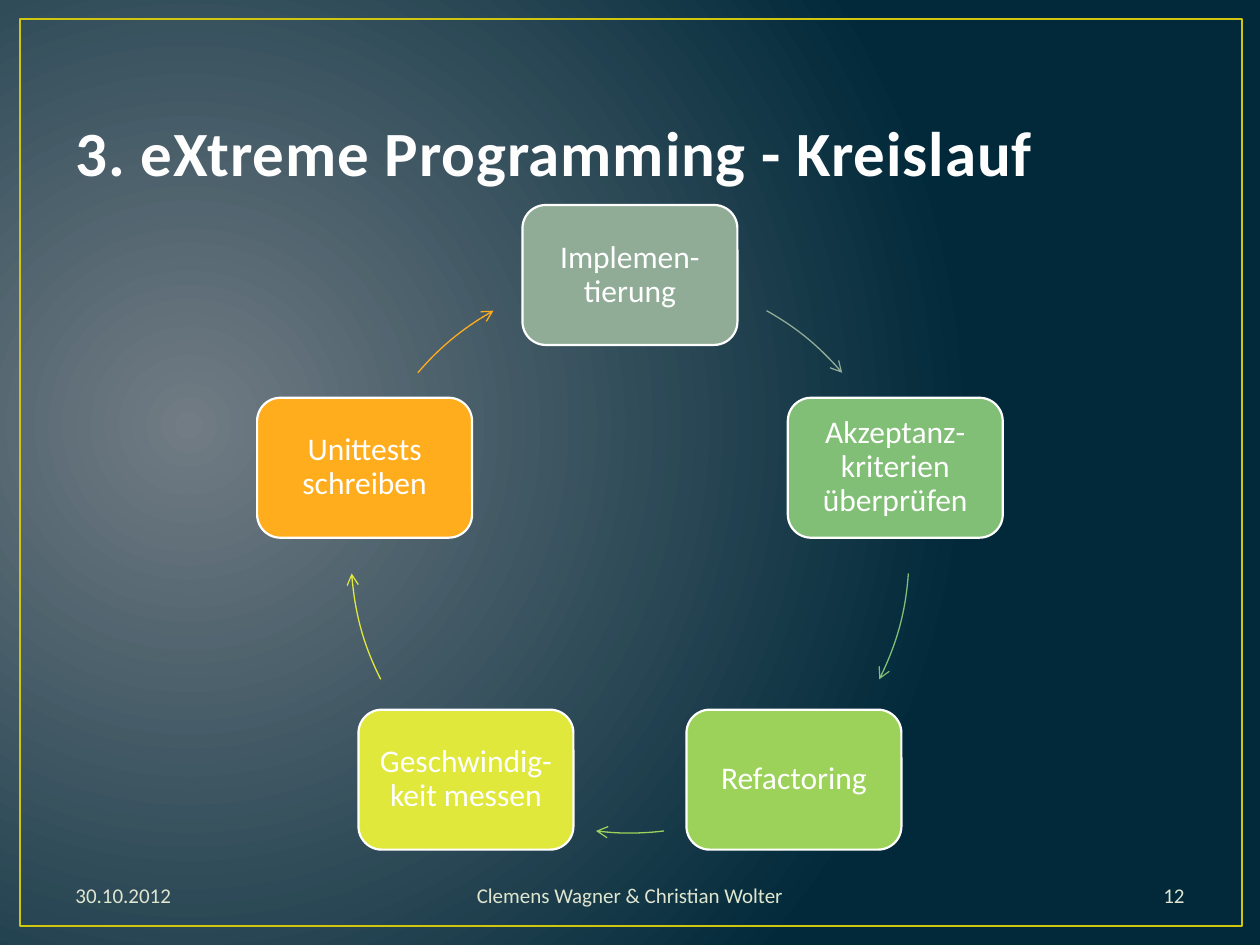
from math import cos, radians, sin

from lxml.etree import SubElement
from pptx import Presentation
from pptx.dml.color import RGBColor
from pptx.enum.shapes import MSO_SHAPE as SHAPE
from pptx.enum.text import MSO_ANCHOR as ANCHOR, PP_ALIGN as ALIGN
from pptx.oxml import parse_xml
from pptx.oxml.ns import nsdecls, qn
from pptx.util import Pt

EMU_PER_PX = 914400 / 126
FONT = "Calibri"
COLORS = {
    "glow": "717C84", "night": "01293A", "frame": "CFC60D",
    "title": "FEFEFE", "white": "FFFFFF", "footer": "DFE6D0",
    "sage": "90AC97", "green": "81BE76", "lime": "9CD25A",
    "yellow": "E0E83C", "orange": "FFAD1C",
}
# Label, colour, start and end angle of the arrow to the next step
STEPS = [
    ("Implemen-tierung", "sage", 299.3, 319.5),
    ("Akzeptanz-kriterien überprüfen", "green", 4, 26.7),
    ("Refactoring", "lime", 83, 97),
    ("Geschwindig-keit messen", "yellow", 153.3, 176),
    ("Unittests schreiben", "orange", 220.5, 240.7),
]
NODE_W, NODE_H = 215, 140


def px(n):
    return round(n * EMU_PER_PX)


def rgb(name):
    return RGBColor.from_string(COLORS[name])


def set_text(sp, text, size, color, align, anchor=ANCHOR.MIDDLE):
    tf = sp.text_frame
    tf.word_wrap = True
    tf.vertical_anchor = anchor
    tf.text = text
    p = tf.paragraphs[0]
    p.alignment = align
    font = p.runs[0].font
    font.name, font.size = FONT, Pt(size)
    font.color.rgb = rgb(color)
    return p


def add_shape(slide, kind, box, line, width, fill=None):
    sp = slide.shapes.add_shape(kind, *map(px, box))
    sp.shadow.inherit = False
    if fill:
        sp.fill.solid()
        sp.fill.fore_color.rgb = rgb(fill)
    else:
        sp.fill.background()
    sp.line.color.rgb = rgb(line)
    sp.line.width = Pt(width)
    return sp


def add_text(slide, box, *style):
    return set_text(slide.shapes.add_textbox(*map(px, box)), *style)


def set_background(slide):
    """Radial gradient glowing from the left middle of the slide."""
    bg = parse_xml(
        f'<p:bg {nsdecls("p", "a")}><p:bgPr><a:gradFill rotWithShape="1"><a:gsLst>'
        f'<a:gs pos="0"><a:srgbClr val="{COLORS["glow"]}"/></a:gs>'
        f'<a:gs pos="100000"><a:srgbClr val="{COLORS["night"]}"/></a:gs></a:gsLst>'
        '<a:path path="circle">'
        '<a:fillToRect l="15000" t="50000" r="85000" b="60000"/></a:path>'
        '</a:gradFill><a:effectLst/></p:bgPr></p:bg>')
    slide.element.cSld.insert(0, bg)


def add_title(slide, box, text):
    p = add_text(slide, box, text, 36, "title", ALIGN.LEFT, ANCHOR.BOTTOM)
    font = p.runs[0].font
    font.bold = True
    p.runs[0]._r.get_or_add_rPr().set("spc", "50")


def add_node(slide, cx, cy, label, color):
    box = (cx - NODE_W / 2, cy - NODE_H / 2, NODE_W, NODE_H)
    sp = add_shape(slide, SHAPE.ROUNDED_RECTANGLE, box, "white", 1.25, color)
    tf = sp.text_frame
    tf.margin_left = tf.margin_right = tf.margin_top = tf.margin_bottom = px(9)
    set_text(sp, label, 18, "white", ALIGN.CENTER).line_spacing = 0.9


def add_arc_arrow(slide, box, start, end, color):
    sp = add_shape(slide, SHAPE.ARC, box, color, 0.75)
    # Arc angles are stored in 1/60000 degree, adjustments in 1/100000
    sp.adjustments[0], sp.adjustments[1] = start * 0.6, end * 0.6
    SubElement(sp.line._get_or_add_ln(), qn("a:tailEnd"), type="arrow")


def add_cycle(slide, box):
    """Steps spread evenly on the circle inscribed in the square box."""
    x, y, size, _ = box
    radius = size / 2
    for i, (label, color, start, end) in enumerate(STEPS):
        angle = radians(360 / len(STEPS) * i - 90)
        cx = x + radius + radius * cos(angle)
        cy = y + radius + radius * sin(angle)
        add_node(slide, cx, cy, label, color)
        add_arc_arrow(slide, box, start, end, color)


def add_footer(slide, box):
    x, y, w, h = box
    side, middle = 294, 480
    for left, width, text, align in [
        (x, side, "30.10.2012", ALIGN.LEFT),
        (x + (w - middle) / 2, middle, "Clemens Wagner & Christian Wolter", ALIGN.CENTER),
        (x + w - side, side, "12", ALIGN.RIGHT),
    ]:
        add_text(slide, (left, y, width, h), text, 12, "footer", align)


def main():
    prs = Presentation()
    prs.slide_width, prs.slide_height = px(1260), px(945)
    slide = prs.slides.add_slide(prs.slide_layouts[6])
    set_background(slide)
    add_shape(slide, SHAPE.RECTANGLE, (20, 19, 1222, 907), "frame", 1.5)
    add_title(slide, (63, 38, 1134, 157), "3. eXtreme Programming - Kreislauf")
    add_cycle(slide, (351, 275, 558, 558))
    add_footer(slide, (63, 870, 1134, 50))
    prs.save("out.pptx")


if __name__ == "__main__":
    main()
